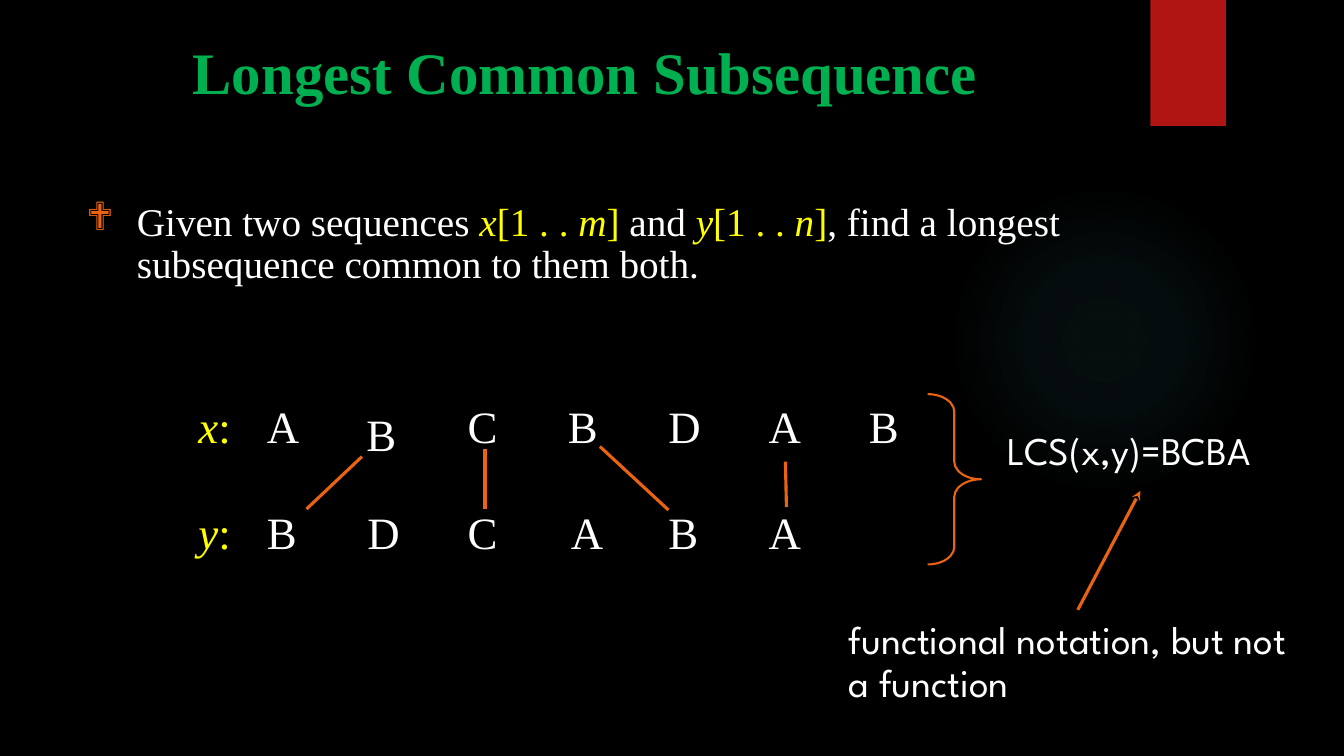
"""Build the Longest Common Subsequence slide."""
from lxml import etree
from pptx import Presentation
from pptx.dml.color import RGBColor
from pptx.enum import shapes, text
from pptx.oxml import parse_xml
from pptx.oxml.ns import nsdecls, qn
from pptx.util import Inches, Pt

BLACK = RGBColor(0, 0, 0)
WHITE = RGBColor(0xFF, 0xFF, 0xFF)
YELLOW = RGBColor(0xFF, 0xFF, 0)
GREEN = RGBColor(0, 0xB0, 0x50)
ORANGE = RGBColor(0xEA, 0x63, 0x12)
RED = RGBColor(0xB0, 0x15, 0x13)
SERIF, SANS = "Times New Roman", "League Spartan"

TITLE = "Longest Common Subsequence "
Y, YI = {"color": YELLOW}, {"color": YELLOW, "italic": True}
PROBLEM = [
    ("Given two sequences ", {}), ("x", YI), ("[1 . . ", Y), ("m", YI),
    ("] ", Y), ("and ", {}), ("y", YI), ("[1 . . ", Y), ("n", YI), ("]", Y),
    (", find a longest subsequence common to them both.", {}),
]
SEQUENCES = [("x", "ABCBDAB", 3.91), ("y", "BDCABA", 4.96)]
NUDGES = {("x", 1): (-0.01, 0.08), ("y", 3): (0.03, 0)}
LETTER_LEFT, LETTER_STEP = 2.55, 0.995
LETTER_WIDTHS = {"A": 0.53, "B": 0.5, "C": 0.5, "D": 0.53}
MATCHES = [
    ((3.59, 4.53), (3.04, 5.05)),
    ((5.95, 4.43), (6.63, 5.06)),
    ((4.81, 4.45), (4.81, 5.05)),
    ((7.79, 4.58), (7.8, 5.03)),
]
POINTER = ((10.69, 6.05), (11.31, 4.87))
NOTES = [
    ("LCS(x,y)=BCBA", (9.89, 4.23, 3.31, 0.53)),
    ("functional notation, but not a function", (8.32, 6.11, 4.58, 0.95)),
]
GLOW = [(0, 7), (36, 6), (69, 0)]

prs = Presentation()
prs.slide_width, prs.slide_height = Inches(13.33), Inches(7.5)
s = prs.slides.add_slide(prs.slide_layouts[6])
s.background.fill.solid()
s.background.fill.fore_color.rgb = BLACK


def add_text(content, box, size=28, font=SERIF, color=WHITE, bold=False,
             align=text.PP_ALIGN.LEFT, spacing=None, wrap=True, top=0.05,
             bullet=None):
    sp = s.shapes.add_textbox(*map(Inches, box))
    tf = sp.text_frame
    tf.word_wrap = wrap
    tf.margin_top = Inches(top)
    p = tf.paragraphs[0]
    if bullet:
        pPr = p._p.get_or_add_pPr()
        pPr.set("marL", str(Inches(0.5)))
        pPr.set("indent", str(Inches(-0.5)))
        clr = etree.SubElement(pPr, qn("a:buClr"))
        etree.SubElement(clr, qn("a:srgbClr"), val=str(ORANGE))
        etree.SubElement(pPr, qn("a:buFont"), typeface="Wingdings")
        etree.SubElement(pPr, qn("a:buChar"), char=bullet)
    p.alignment = align
    if spacing:
        p.line_spacing = spacing
    runs = [(content, {})] if isinstance(content, str) else content
    for words, style in runs:
        r = p.add_run()
        r.text = words
        r.font.name, r.font.size, r.font.bold = font, Pt(size), bold
        r.font.italic = style.get("italic", False)
        r.font.color.rgb = style.get("color", color)


def add_shape(kind, box):
    sp = s.shapes.add_shape(kind, *map(Inches, box))
    sp.shadow.inherit = False
    sp.fill.background()
    sp.line.fill.background()
    return sp


def add_line(start, end, arrow=False):
    line = s.shapes.add_connector(shapes.MSO_CONNECTOR.STRAIGHT,
                                  *map(Inches, start + end))
    line.line.color.rgb = ORANGE
    line.line.width = Pt(2.25)
    if arrow:
        etree.SubElement(line.line._get_or_add_ln(), qn("a:tailEnd"),
                         type="stealth")
    etree.SubElement(line._element.spPr, qn("a:effectLst"))


glow = add_shape(shapes.MSO_SHAPE.OVAL, (9.41, 1.83, 3.08, 3.08))
stops = "".join(
    f'<a:gs pos="{pos * 1000}"><a:srgbClr val="50B9C1">'
    f'<a:alpha val="{alpha * 1000}"/></a:srgbClr></a:gs>'
    for pos, alpha in GLOW)
spPr = glow._element.spPr
spPr.replace(spPr.find(qn("a:noFill")), parse_xml(
    f'<a:gradFill {nsdecls("a")}><a:gsLst>{stops}</a:gsLst>'
    '<a:path path="circle"><a:fillToRect l="50000" t="50000" r="50000" '
    'b="50000"/></a:path></a:gradFill>'))

ribbon = add_shape(shapes.MSO_SHAPE.RECTANGLE, (11.41, 0, 0.75, 1.25))
ribbon.fill.solid()
ribbon.fill.fore_color.rgb = RED

add_text(TITLE, (0.76, 0.21, 10.23, 1.13), size=42, color=GREEN, bold=True,
         align=text.PP_ALIGN.CENTER, top=0.14)
add_text(PROBLEM, (0.76, 1.96, 11.73, 0.95), spacing=0.9, bullet="❖")

for name, letters, top in SEQUENCES:
    add_text([(name, YI), (":", Y)], (1.87, top, 0.53, 0.64), size=32,
             wrap=False)
    for i, letter in enumerate(letters):
        dx, dy = NUDGES.get((name, i), (0, 0))
        add_text(letter, (LETTER_LEFT + i * LETTER_STEP + dx, top + dy,
                          LETTER_WIDTHS[letter], 0.64), size=32, wrap=False)

brace = add_shape(shapes.MSO_SHAPE.RIGHT_BRACE, (9.2, 3.91, 0.53, 1.69))
brace.adjustments[0] = 0.33
brace.adjustments[1] = 0.5
brace.line.color.rgb = ORANGE
brace.line.width = Pt(1.5)

for start, end in MATCHES:
    add_line(start, end)
for note, box in NOTES:
    add_text(note, box, font=SANS, spacing=0.9)
add_line(*POINTER, arrow=True)

prs.save("out.pptx")
